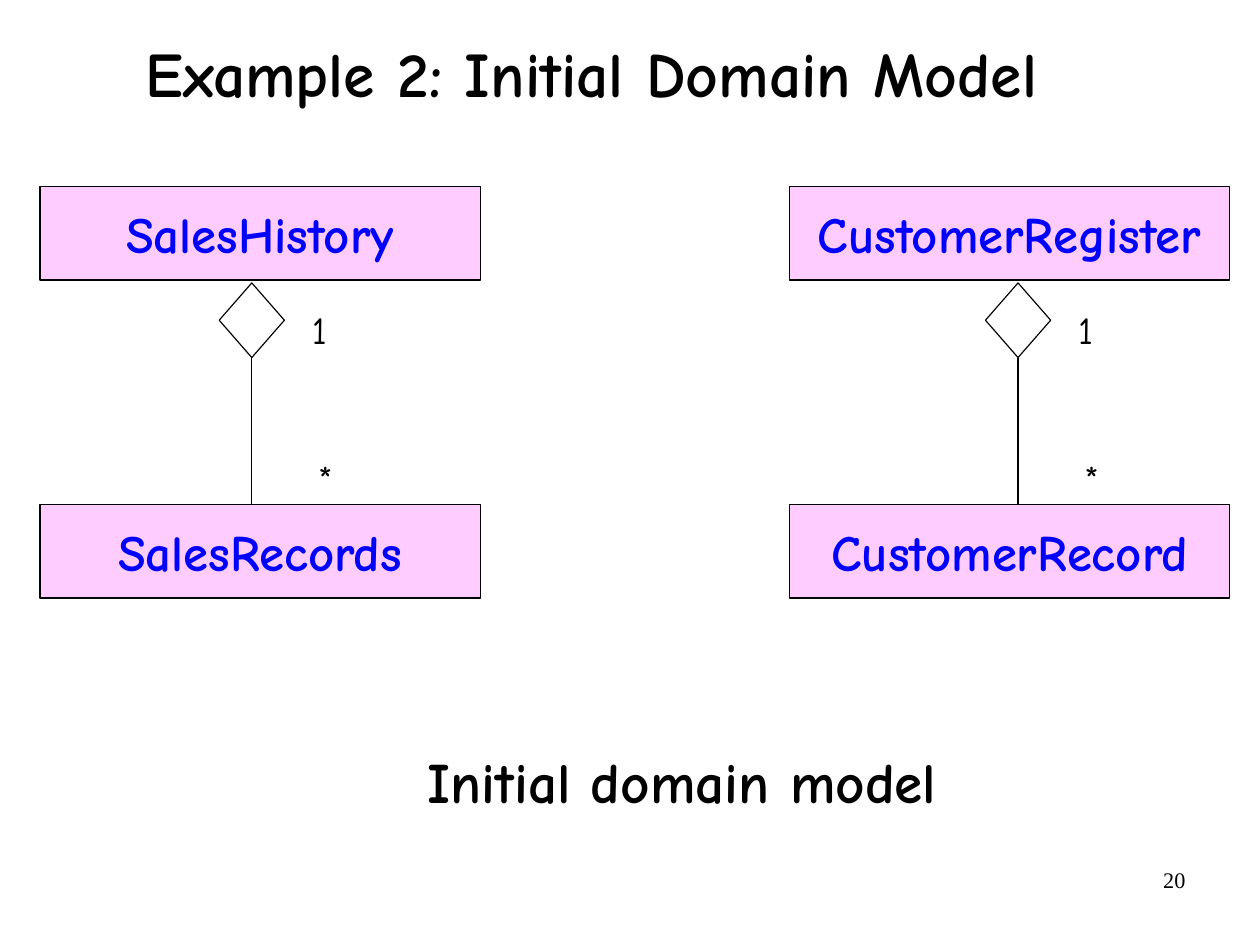
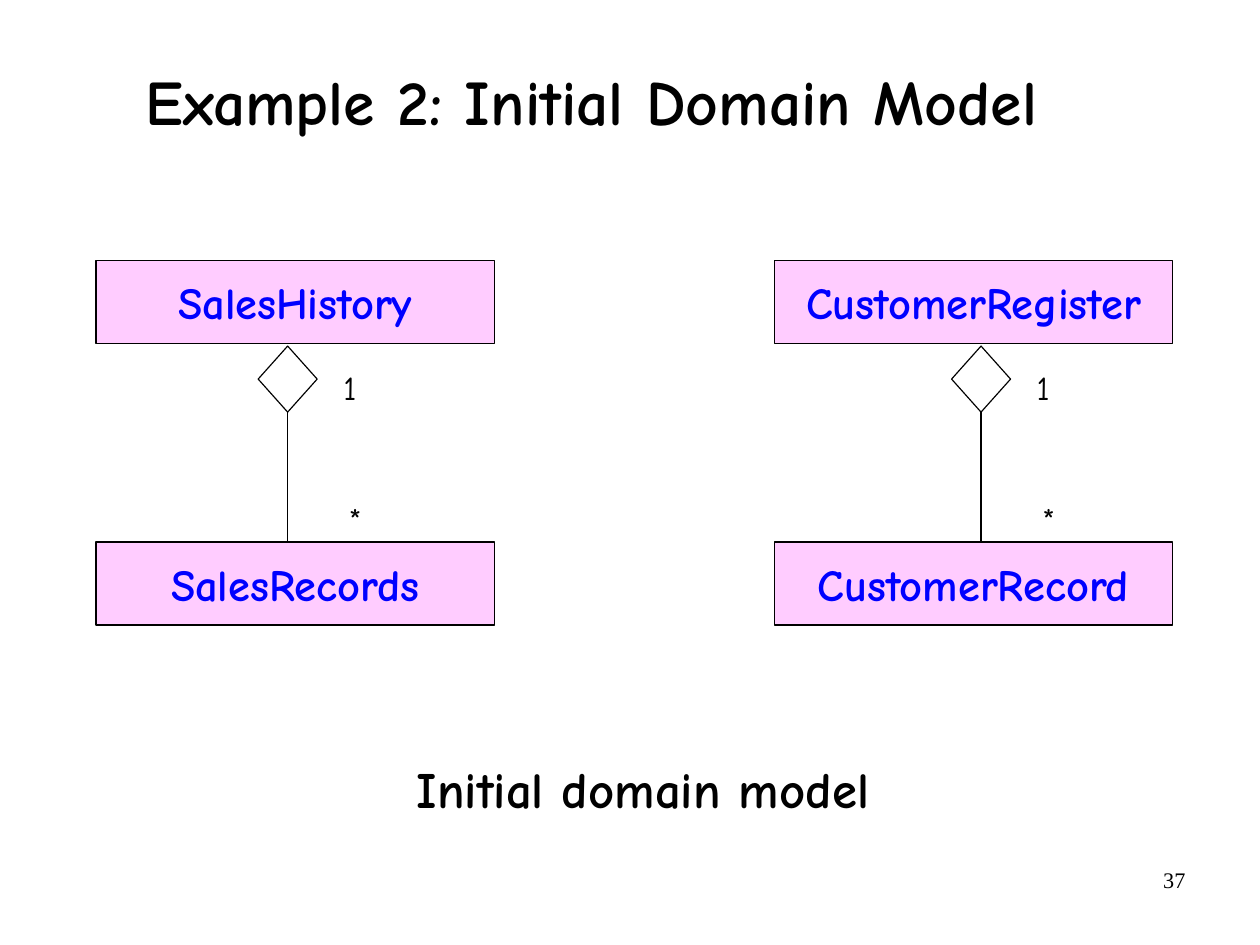
from dataclasses import dataclass

from lxml import etree
from pptx import Presentation
from pptx.dml.color import RGBColor
from pptx.enum.shapes import MSO_CONNECTOR, MSO_SHAPE
from pptx.enum.text import MSO_ANCHOR, MSO_AUTO_SIZE, PP_ALIGN
from pptx.oxml.ns import qn
from pptx.util import Cm, Inches, Pt

RECTANGLE, DIAMOND = MSO_SHAPE.RECTANGLE, MSO_SHAPE.DIAMOND
STRAIGHT = MSO_CONNECTOR.STRAIGHT
LEFT, CENTER, RIGHT = PP_ALIGN.LEFT, PP_ALIGN.CENTER, PP_ALIGN.RIGHT
TOP, MIDDLE = MSO_ANCHOR.TOP, MSO_ANCHOR.MIDDLE
GROW = MSO_AUTO_SIZE.SHAPE_TO_FIT_TEXT

COLORS = {"ink": "000000", "class_fill": "FFCCFF", "class_name": "0000FF"}
HAND, SERIF = "Comic Neue", "Times New Roman"
LABEL_INSETS = (0.11, 0.06)
LINE_WIDTH = Pt(0.75)
SLIDE_W, SLIDE_H = Cm(28), Cm(21)


@dataclass
class Frame:
    """An area in inches; places inside it are given in percent."""
    left: float
    top: float
    width: float
    height: float

    def at(self, x, y):
        return (Inches(self.left + self.width * x / 100),
                Inches(self.top + self.height * y / 100))

    def box(self, x, y, width, height):
        return (*self.at(x, y), Inches(self.width * width / 100),
                Inches(self.height * height / 100))


PAGE = Frame(0, 0, SLIDE_W.inches, SLIDE_H.inches)

# Diagram grid, in percent of the diagram's frame
CLASS_W, CLASS_H = 37, 14.75
PART_TOP = 50.05
DIAMOND_W, DIAMOND_H, DIAMOND_TOP = 5.48, 11.75, 15.2
MULTIPLICITIES = [("1", 4, 17.75), ("*", 4.5, 41.3)]  # text, offset, top
# Whole, part, left edge of the classes, axis of the aggregation
AGGREGATIONS = [
    ("SalesHistory", "SalesRecords", 0, 17.8),
    ("CustomerRegister", "CustomerRecord", 100 - CLASS_W, 100 - 17.8),
]


def rgb(name):
    return RGBColor.from_string(COLORS[name])


def write(shape, text, size, font=HAND, color="ink", bold=False, align=LEFT,
          anchor=TOP, insets=LABEL_INSETS, before=0, spacing=None):
    frame = shape.text_frame
    frame.word_wrap = True
    frame.vertical_anchor = anchor
    frame.margin_left = frame.margin_right = Inches(insets[0])
    frame.margin_top = frame.margin_bottom = Inches(insets[1])
    frame.text = text
    paragraph = frame.paragraphs[0]
    paragraph.alignment = align
    paragraph.space_before = Pt(before)
    if spacing:
        paragraph.line_spacing = spacing
    paragraph.font.name = font
    paragraph.font.size = Pt(size)
    paragraph.font.bold = bold
    paragraph.font.color.rgb = rgb(color)


def add_label(slide, box, text, size, bold=False):
    label = slide.shapes.add_textbox(*box)
    write(label, text, size, bold=bold)
    label.text_frame.word_wrap = False
    label.text_frame.auto_size = GROW


def add_outlined(slide, kind, box):
    shape = slide.shapes.add_shape(kind, *box)
    shape.shadow.inherit = False
    shape.fill.background()
    shape.line.color.rgb = rgb("ink")
    shape.line.width = LINE_WIDTH
    return shape


def add_class(slide, box, name, size):
    shape = add_outlined(slide, RECTANGLE, box)
    shape.fill.solid()
    shape.fill.fore_color.rgb = rgb("class_fill")
    write(shape, name, size, color="class_name", bold=True, align=CENTER,
          anchor=MIDDLE, insets=(0, 0), before=11.2)


def add_aggregation(slide, frame, axis, size):
    diamond = add_outlined(slide, DIAMOND, frame.box(
        axis - DIAMOND_W / 2, DIAMOND_TOP, DIAMOND_W, DIAMOND_H))
    link = slide.shapes.add_connector(
        STRAIGHT, *frame.at(axis, DIAMOND_TOP + DIAMOND_H),
        *frame.at(axis, PART_TOP))
    link.begin_connect(diamond, 2)
    link.line.color.rgb = rgb("ink")
    link.line.width = LINE_WIDTH
    etree.SubElement(link._element.spPr, qn("a:effectLst"))
    for text, offset, top in MULTIPLICITIES:
        add_label(slide, frame.box(axis + offset, top, 3.4, 9.2), text, size)


def add_page(deck, number, title_height):
    slide = deck.slides.add_slide(deck.slide_layouts[6])
    page_number = slide.shapes.add_textbox(*PAGE.box(71.66, 91.05, 23.31, 6.89))
    write(page_number, number, 14, font=SERIF, align=RIGHT, insets=(0.1, 0.05))
    title = slide.shapes.add_textbox(*PAGE.box(4.44, 2.42, 85, title_height))
    write(title, "Example 2: Initial Domain Model", 40, bold=True, align=CENTER,
          anchor=MIDDLE, insets=(0.02, 0.06), before=8.1, spacing=0.94)
    return slide


def add_domain_model(slide, frame, class_size, label_size, caption_size,
                     caption_left):
    for whole, part, left, axis in AGGREGATIONS:
        for name, top in ((whole, 0), (part, PART_TOP)):
            add_class(slide, frame.box(left, top, CLASS_W, CLASS_H), name,
                      class_size)
        add_aggregation(slide, frame, axis, label_size)
    add_label(slide, frame.box(caption_left, 87.1, 45.2, 12.9),
              "Initial domain model", caption_size, bold=True)


def main():
    deck = Presentation()
    deck.slide_width, deck.slide_height = SLIDE_W, SLIDE_H

    # Large model
    slide = add_page(deck, "20", title_height=11.25)
    add_domain_model(slide, Frame(0.35, 1.63, 10.41, 5.56), class_size=32,
                     label_size=24, caption_size=36, caption_left=31.5)

    # Reduced model
    slide = add_page(deck, "37", title_height=17.17)
    add_domain_model(slide, Frame(0.84, 2.28, 9.42, 4.92), class_size=28,
                     label_size=21, caption_size=32, caption_left=28.6)

    deck.save("out.pptx")


if __name__ == "__main__":
    main()
